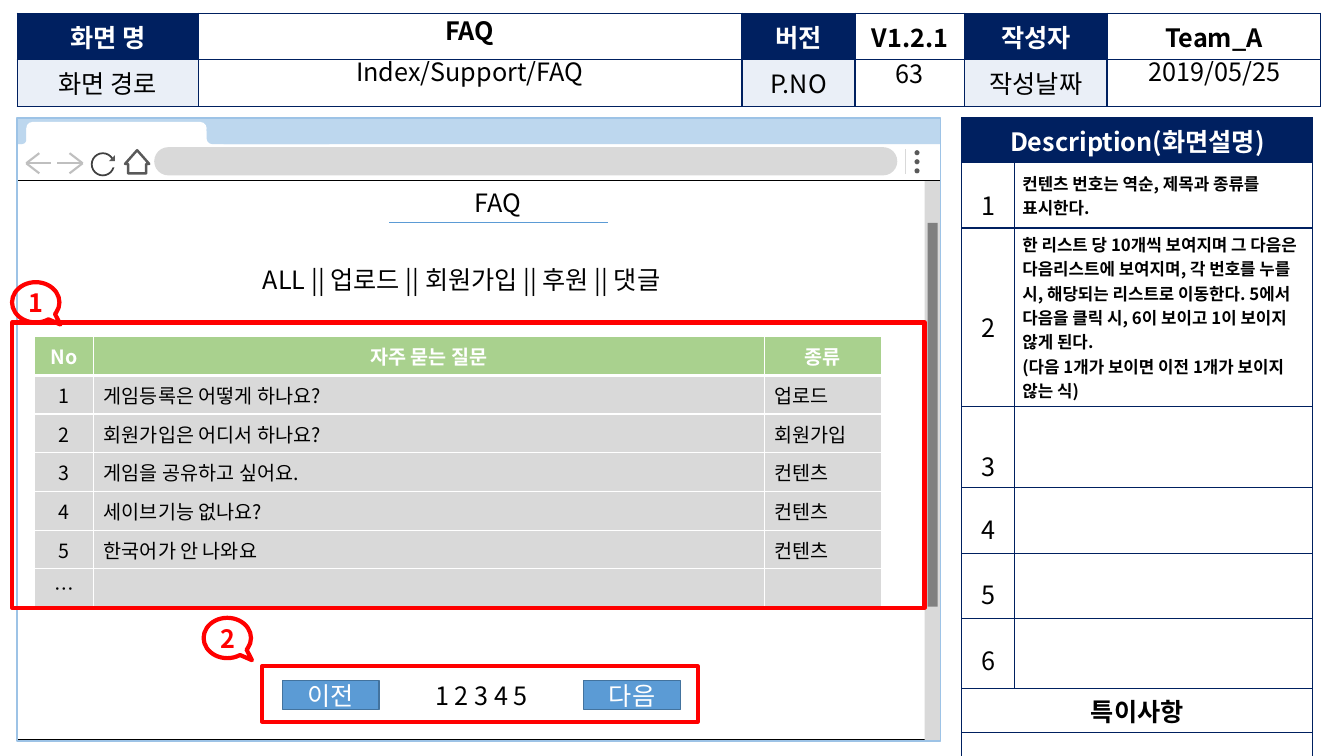
from lxml.etree import SubElement
from pptx import Presentation
from pptx.dml.color import RGBColor
from pptx.enum.shapes import MSO_CONNECTOR, MSO_SHAPE
from pptx.enum.text import MSO_ANCHOR, MSO_AUTO_SIZE, PP_ALIGN
from pptx.oxml.ns import qn
from pptx.util import Inches, Pt

NAVY, WHITE, BLACK, RED = "002060", "FFFFFF", "000000", "FF0000"
PALE, SKY, BLUE, GREEN = "EAEFF7", "BDD7EE", "5B9BD5", "A9D18E"
LIGHT, SILVER, DARK = "D9D9D9", "BFBFBF", "595959"
LEFT, CENTER = PP_ALIGN.LEFT, PP_ALIGN.CENTER
TOP, MIDDLE = MSO_ANCHOR.TOP, MSO_ANCHOR.MIDDLE


def rgb(color):
    return RGBColor.from_string(color)


class Wireframe:
    font = "Noto Sans CJK KR"

    def __init__(self, slide):
        self.slide = slide
        self.shapes = slide.shapes

    def fill_text(self, frame, text, size=18, color=BLACK, bold=False, align=CENTER,
                  spacing=None, before=None):
        """Fill a text frame, one paragraph for each line of text."""
        for index, line in enumerate(text.split("\n")):
            paragraph = frame.add_paragraph() if index else frame.paragraphs[0]
            paragraph.alignment = align
            if spacing:
                paragraph.line_spacing = spacing
            if before:
                paragraph.space_before = Pt(before)
            if not line:
                SubElement(paragraph._p, qn("a:endParaRPr"), sz=str(size * 100))
                continue
            run = paragraph.add_run()
            run.text = line
            run.font.size, run.font.bold = Pt(size), bold
            run.font.color.rgb = rgb(color)
            run.font.name = self.font
            SubElement(run._r.rPr, qn("a:ea"), typeface=self.font)

    def shape(self, kind, box, fill=None, line=None, width=1, adjust=(), text="", **style):
        shape = self.shapes.add_shape(kind, *map(Inches, box))
        shape.shadow.inherit = False
        for index, value in enumerate(adjust):
            shape.adjustments[index] = value
        if fill:
            shape.fill.solid()
            shape.fill.fore_color.rgb = rgb(fill)
        else:
            shape.fill.background()
        if line:
            shape.line.color.rgb = rgb(line)
            shape.line.width = Pt(width)
        else:
            shape.line.fill.background()
        if text:
            shape.text_frame.vertical_anchor = MIDDLE
            self.fill_text(shape.text_frame, text, **style)
        return shape

    def line(self, start, end, color, width):
        line = self.shapes.add_connector(MSO_CONNECTOR.STRAIGHT, *map(Inches, start + end))
        line.line.color.rgb = rgb(color)
        line.line.width = Pt(width)
        SubElement(line._element.spPr, qn("a:effectLst"))

    def text(self, box, text, wrap=True, grow=False, anchor=TOP, **style):
        frame = self.shapes.add_textbox(*map(Inches, box)).text_frame
        frame.word_wrap = wrap
        frame.auto_size = MSO_AUTO_SIZE.SHAPE_TO_FIT_TEXT if grow else MSO_AUTO_SIZE.NONE
        frame.vertical_anchor = anchor
        self.fill_text(frame, text, **style)

    def title(self, box, text, **style):
        title = self.shapes.title
        title.left, title.top, title.width, title.height = map(Inches, box)
        # The title lies over the header table
        self.shapes._spTree.append(title._element)
        frame = title.text_frame
        frame.word_wrap, frame.auto_size = True, MSO_AUTO_SIZE.NONE
        frame.vertical_anchor = TOP
        self.fill_text(frame, text, **style)

    def table(self, left, top, columns, rows):
        """Add an unstyled table with the given column widths and row heights."""
        table = self.shapes.add_table(len(rows), len(columns), Inches(left), Inches(top),
                                      Inches(sum(columns)), Inches(sum(rows))).table
        table.first_row = table.horz_banding = False
        for column, width in zip(table.columns, columns):
            column.width = Inches(width)
        for row, height in zip(table.rows, rows):
            row.height = Inches(height)
        return table

    def cell(self, cell, text="", fill=None, border=NAVY, bottom=1, anchor=TOP,
             margins=(0.1, 0.05), **style):
        cell.vertical_anchor = anchor
        cell.margin_left = cell.margin_right = Inches(margins[0])
        cell.margin_top = cell.margin_bottom = Inches(margins[1])
        properties = cell._tc.get_or_add_tcPr()
        for side in "LRTB":
            width = Pt(bottom if side == "B" else 1)
            edge = SubElement(properties, qn(f"a:ln{side}"), w=str(int(width)))
            SubElement(SubElement(edge, qn("a:solidFill")), qn("a:srgbClr"), val=border)
        if fill:
            cell.fill.solid()
            cell.fill.fore_color.rgb = rgb(fill)
        else:
            cell.fill.background()
        self.fill_text(cell.text_frame, text, **style)


def draw_browser(page):
    rect, rounded, oval = MSO_SHAPE.RECTANGLE, MSO_SHAPE.ROUNDED_RECTANGLE, MSO_SHAPE.OVAL
    page.shape(rect, (0.16, 1.78, 9.16, 5.56), WHITE, BLACK, 0.5)
    page.shape(rect, (9.17, 1.79, 0.16, 5.55), LIGHT)
    page.shape(rect, (0.17, 1.42, 9.16, 0.37), WHITE, BLACK, 0.5)
    page.shape(rounded, (1.53, 1.46, 7.37, 0.28), LIGHT, adjust=[0.5])
    for dot in range(3):
        page.shape(oval, (9.07, 1.49 + 0.09 * dot, 0.05, 0.05), DARK)
    page.line((8.98, 1.48), (8.98, 1.73), LIGHT, 1)
    page.shape(rect, (0.17, 1.17, 9.16, 0.26), SKY)
    for tip, direction in ((0.26, 1), (0.82, -1)):
        for run, rise in ((0.25, 0), (0.13, -0.1), (0.13, 0.1)):
            page.line((tip, 1.62), (tip + direction * run, 1.62 + rise), SILVER, 1.5)
    page.shape(oval, (0.91, 1.52, 0.22, 0.22), line="404040", width=1.25)
    page.shape(rect, (1.09, 1.58, 0.08, 0.08), WHITE)
    page.shape(MSO_SHAPE.ISOSCELES_TRIANGLE, (1.08, 1.54, 0.06, 0.06), DARK, adjust=[1])
    home = page.shape(MSO_SHAPE.DOWN_ARROW, (1.24, 1.49, 0.24, 0.23), WHITE, DARK, 1.75,
                      [0.75, 0.59])
    home.rotation = 180
    for box, fill, radius in (
        ((0.26, 1.21, 1.79, 0.23), WHITE, 0.28),
        ((1.88, 1.3, 0.34, 0.15), WHITE, 0.17),
        ((2.05, 1.23, 1.27, 0.2), SKY, 0.28),
        ((0.21, 1.3, 0.13, 0.15), WHITE, 0.17),
        ((0.17, 1.23, 0.09, 0.2), SKY, 0.46),
    ):
        page.shape(rounded, box, fill, adjust=[radius])
    page.shape(rect, (0.17, 1.17, 9.16, 6.18), line="9DC3E6")


def draw_header(page):
    rows = (("화면 명", "", "버전", "V1.2.1", "작성자", "Team_A"),
            ("화면 경로", "", "P.NO", "", "작성날짜", ""))
    table = page.table(0.17, 0.13, (1.8, 5.39, 1.12, 1.09, 1.41, 2.12), (0.46, 0.46))
    for r, row in enumerate(rows):
        for c, text in enumerate(row):
            label = c % 2 == 0
            page.cell(table.cell(r, c), text, (NAVY, PALE)[r] if label else WHITE,
                      color=WHITE if label and r == 0 else BLACK, bold=r == 0)
    entry = dict(spacing=0.9, before=10)
    page.title((1.97, 0.14, 5.38, 0.38), "FAQ", bold=True, **entry)
    page.text((1.97, 0.54, 5.38, 0.38), "Index/Support/FAQ", **entry)
    page.text((10.99, 0.54, 2.11, 0.38), "2019/05/25", **entry)
    page.text((8.48, 0.54, 1.08, 0.38), "63", anchor=MIDDLE)


def draw_description(page):
    notes = (
        "컨텐츠 번호는 역순, 제목과 종류를 표시한다.",
        "한 리스트 당 10개씩 보여지며 그 다음은 다음리스트에 보여지며, 각 번호를 누를 시, "
        "해당되는 리스트로 이동한다. 5에서 다음을 클릭 시, 6이 보이고 1이 보이지 않게 된다.\n"
        "(다음 1개가 보이면 이전 1개가 보이지 않는 식)",
        "", "", "", "")
    table = page.table(9.54, 1.17, (0.52, 2.96), (0.42, *[0.65] * 5, 0.69, 0.42, 0.68))
    inner = dict(margins=(0.08, 0.04))
    for r, text, fill, color in ((0, "Description(화면설명)", NAVY, WHITE),
                                 (7, "특이사항", None, BLACK), (8, "", None, BLACK)):
        table.cell(r, 0).merge(table.cell(r, 1))
        page.cell(table.cell(r, 0), text, fill, color=color, bold=True, **inner)
        page.cell(table.cell(r, 1), fill=fill, **inner)
    for number, note in enumerate(notes, 1):
        anchor = MIDDLE if note else TOP
        page.cell(table.cell(number, 0), str(number), anchor=anchor,
                  spacing=2.0 if number == 3 else 1.5, **inner)
        page.cell(table.cell(number, 1), note, anchor=anchor, size=12, bold=True,
                  align=LEFT, **inner)


def draw_questions(page):
    rows = (("No", "자주 묻는 질문", "종류"),
            ("1", "게임등록은 어떻게 하나요?", "업로드"),
            ("2", "회원가입은 어디서 하나요?", "회원가입"),
            ("3", "게임을 공유하고 싶어요.", "컨텐츠"),
            ("4", "세이브기능 없나요?", "컨텐츠"),
            ("5", "한국어가 안 나와요", "컨텐츠"),
            ("…", "", ""))
    table = page.table(0.34, 3.34, (0.59, 6.65, 1.16), [0.38] * len(rows))
    for r, row in enumerate(rows):
        head = r == 0
        for c, text in enumerate(row):
            page.cell(table.cell(r, c), text, GREEN if head else LIGHT, WHITE,
                      3 if head else 1, TOP if head else MIDDLE, size=14, bold=head,
                      color=WHITE if head else BLACK, align=CENTER if head or c == 0 else LEFT)


def draw_marker(page, number, area, left, top):
    """Frame an area in red and put its numbered balloon beside it."""
    page.shape(MSO_SHAPE.RECTANGLE, area, line=RED, width=3)
    page.shape(MSO_SHAPE.OVAL_CALLOUT, (left, top, 0.47, 0.4), line=RED, width=3,
               adjust=[0.52, 0.55], text=number, color=RED, bold=True)


def main():
    deck = Presentation()
    deck.slide_width, deck.slide_height = Inches(13.33), Inches(7.5)
    page = Wireframe(deck.slides.add_slide(deck.slide_layouts[5]))
    draw_browser(page)
    draw_header(page)
    draw_description(page)
    draw_questions(page)
    draw_marker(page, "1", (0.12, 3.2, 9.05, 2.83), 0.12, 2.8)
    for left, label in ((2.8, "이전"), (5.79, "다음")):
        page.shape(MSO_SHAPE.RECTANGLE, (left, 6.75, 0.96, 0.29), BLUE, "43739E",
                   text=label, color=WHITE)
    page.text((4.07, 6.7, 1.41, 0.4), "1 2 3 4 5", grow=True)
    draw_marker(page, "2", (2.6, 6.61, 4.32, 0.55), 2.02, 6.13)
    page.line((3.86, 2.21), (6.03, 2.21), BLUE, 0.5)
    page.text((4.61, 1.81, 0.67, 0.4), "FAQ", wrap=False, grow=True, align=LEFT)
    page.text((2.51, 2.57, 4.67, 0.4), "ALL || 업로드 || 회원가입 || 후원 || 댓글",
              wrap=False, grow=True, align=LEFT)
    page.shape(MSO_SHAPE.RECTANGLE, (9.2, 2.21, 0.1, 3.81), "808080")
    deck.save("out.pptx")


if __name__ == "__main__":
    main()
